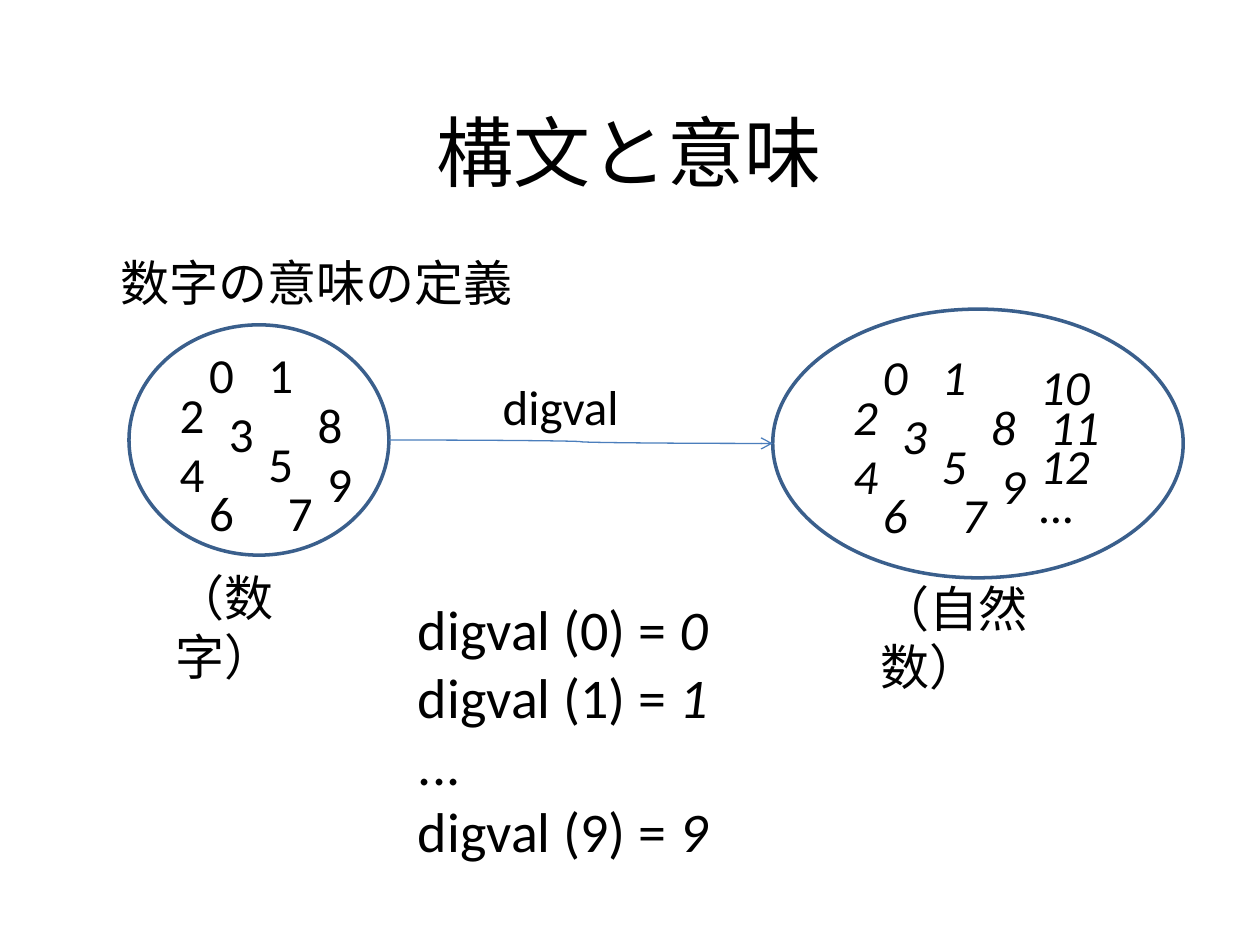
from lxml import etree
from pptx import Presentation
from pptx import util as u
from pptx.dml.color import RGBColor
from pptx.enum import shapes, text
from pptx.oxml.ns import qn

COLOURS = {"text": "000000", "outline": "3A5F8C", "arrow": "4B7EBC"}
FONT = "Calibri"
CELL = u.Inches(10) / 128  # the slide is 128 columns by 96 rows
LINE_ROWS = 7.3

# Each sign with its column and row inside a set
DIGITS = [("0", 3, 0), ("1", 9, 0), ("2", 0, 4), ("3", 5, 6), ("4", 0, 10),
          ("5", 9, 9), ("6", 3, 14), ("7", 11, 14), ("8", 14, 5), ("9", 15, 11)]
LARGER_NUMBERS = [("10", 19, 1), ("11", 20, 5), ("12", 19, 9), ("…", 19, 13)]
SIGN_COLUMNS = {"10": 7.7, "11": 7.7, "12": 7.7, "…": 6}
EQUATIONS = [[("digval (0) = ", False), ("0", True)],
             [("digval (1) = ", False), ("1", True)],
             [("...", False)],
             [("digval (9) = ", False), ("9", True)]]


def grid(*cells):
    return [u.Emu(round(cell * CELL)) for cell in cells]


def colour(name):
    return RGBColor.from_string(COLOURS[name])


def apply(target, values):
    for name, value in values.items():
        setattr(target, name, value)


def add_text(page, place, lines, size=28, align=text.PP_ALIGN.LEFT, **frame_values):
    """Add a text box; each line is a list of (words, italic) spans."""
    frame = page.shapes.add_textbox(*grid(*place)).text_frame
    apply(frame, {"word_wrap": True,
                  "auto_size": text.MSO_AUTO_SIZE.SHAPE_TO_FIT_TEXT, **frame_values})
    for index, line in enumerate(lines):
        para = frame.paragraphs[0] if index == 0 else frame.add_paragraph()
        para.alignment = align
        for words, italic in line:
            span = para.add_run()
            span.text = words
            apply(span.font, {"name": FONT, "size": u.Pt(size), "italic": italic})
            span.font.color.rgb = colour("text")


def add_set(page, place):
    oval = page.shapes.add_shape(shapes.MSO_SHAPE.OVAL, *grid(*place))
    oval.shadow.inherit = False
    oval.fill.background()
    oval.line.color.rgb = colour("outline")
    oval.line.width = u.Pt(2)
    return oval


def add_signs(page, signs, left, top, italic):
    for sign, column, row in signs:
        place = (left + column, top + row, SIGN_COLUMNS.get(sign, 5.1), LINE_ROWS)
        add_text(page, place, [[(sign, italic)]], word_wrap=False)


def add_mapping(page, source, target):
    """Draw a curved arrow from the right of source to the left of target."""
    arrow = page.shapes.add_connector(
        shapes.MSO_CONNECTOR.CURVE,
        source.left + source.width, source.top + source.height // 2,
        target.left, target.top + target.height // 2)
    arrow.line.color.rgb = colour("arrow")
    arrow.line.width = u.Pt(0.75)
    etree.SubElement(arrow.line._get_or_add_ln(), qn("a:tailEnd"), type="arrow")
    etree.SubElement(arrow._element.spPr, qn("a:effectLst"))


def main():
    deck = Presentation()
    deck.slide_width, deck.slide_height = grid(128, 96)
    page = deck.slides.add_slide(deck.slide_layouts[6])

    add_text(page, (9.5, 7.3, 108.8, 16), [[("構文と意味", False)]], size=44,
             align=text.PP_ALIGN.CENTER, auto_size=text.MSO_AUTO_SIZE.NONE,
             vertical_anchor=text.MSO_ANCHOR.MIDDLE)
    add_text(page, (11, 25, 103, LINE_ROWS), [[("数字の意味の定義", False)]])

    numerals = add_set(page, (13.1, 33, 26.4, 23.4))
    add_signs(page, DIGITS, 17, 34.4, italic=False)
    add_text(page, (16.6, 57, 17.7, LINE_ROWS), [[("（数字）", False)]])

    naturals = add_set(page, (78.5, 31.4, 41.7, 27.3))
    add_signs(page, DIGITS + LARGER_NUMBERS, 85.4, 34.6, italic=True)
    add_text(page, (88.2, 58.1, 22.7, LINE_ROWS), [[("（自然数）", False)]])

    add_mapping(page, numerals, naturals)
    add_text(page, (49.8, 37.6, 14.5, LINE_ROWS), [[("digval", False)]], word_wrap=False)
    add_text(page, (41.2, 59.8, 34.2, 28.9), EQUATIONS, size=32)

    deck.save("out.pptx")


if __name__ == "__main__":
    main()
